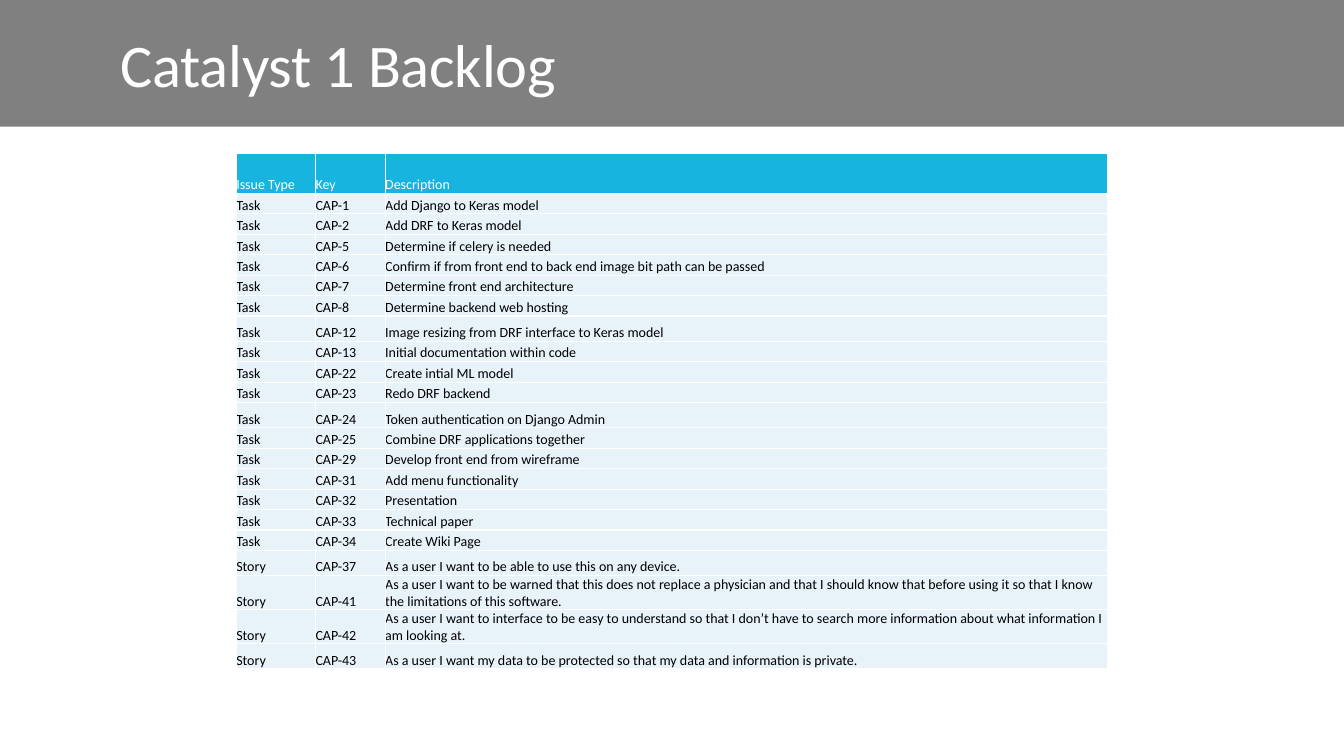
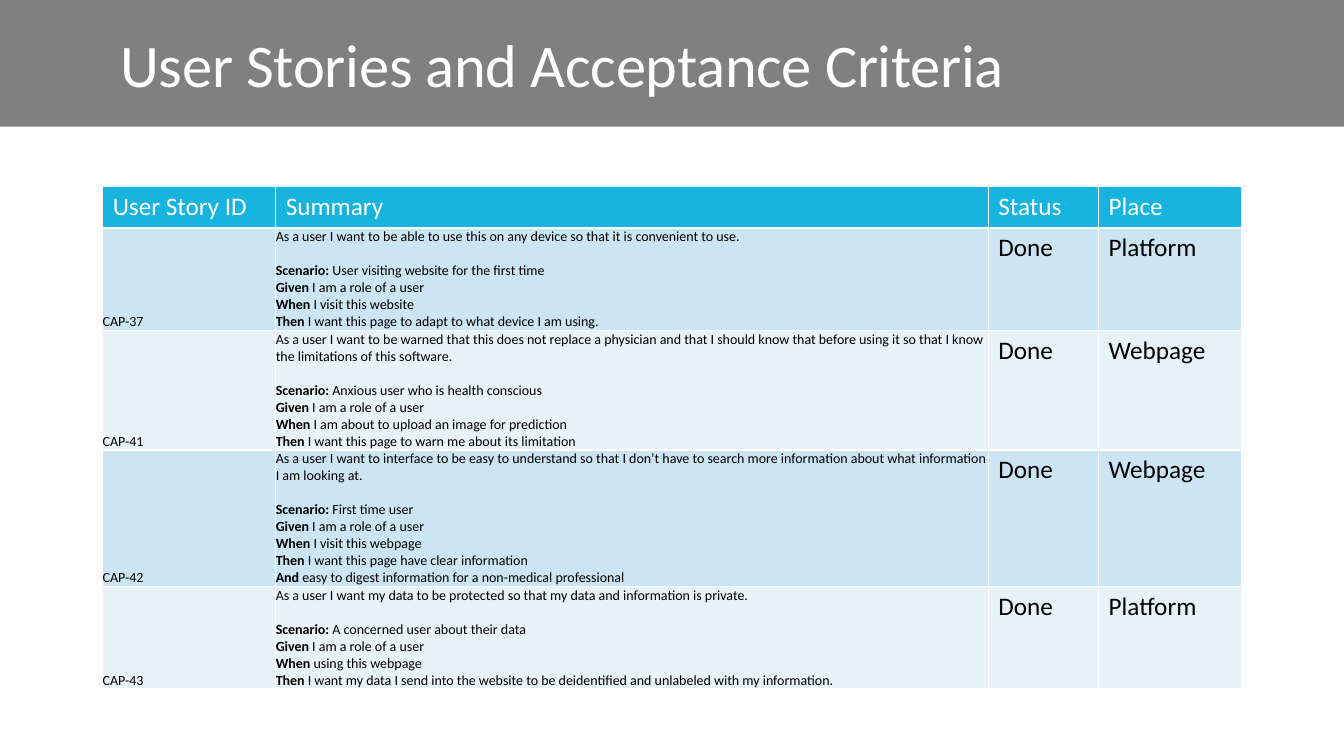
from pptx import Presentation
from pptx.dml.color import RGBColor
from pptx.enum.shapes import MSO_SHAPE
from pptx.enum.text import MSO_ANCHOR
from pptx.util import Pt

RECT = MSO_SHAPE.RECTANGLE
TOP, MIDDLE, BOTTOM = MSO_ANCHOR.TOP, MSO_ANCHOR.MIDDLE, MSO_ANCHOR.BOTTOM
FONT = "Calibri"
COLORS = {"band": "808080", "head": "17B4DF", "dark": "CCE5F3",
          "light": "E8F2F9", "white": "FFFFFF", "black": "000000"}
WIDTH, HEIGHT = 960, 540
SMALL, LARGE = 10, 18
LINE = 12.2  # height of one line of small text

# Content: backlog
BACKLOG_HEAD = ("Issue Type", "Key", "Description")
TASKS = [
    (1, "Add Django to Keras model"),
    (2, "Add DRF to Keras model"),
    (5, "Determine if celery is needed"),
    (6, "Confirm if from front end to back end image bit path can be passed"),
    (7, "Determine front end architecture"),
    (8, "Determine backend web hosting"),
    (12, "Image resizing from DRF interface to Keras model"),
    (13, "Initial documentation within code"),
    (22, "Create intial ML model"),
    (23, "Redo DRF backend"),
    (24, "Token authentication on Django Admin"),
    (25, "Combine DRF applications together"),
    (29, "Develop front end from wireframe"),
    (31, "Add menu functionality"),
    (32, "Presentation"),
    (33, "Technical paper"),
    (34, "Create Wiki Page"),
]
WARNED = ("As a user I want to be warned that this does not replace a physician "
          "and that I should know that before using it so that I know the "
          "limitations of this software.")
EASY = ("As a user I want to interface to be easy to understand so that I don’t "
        "have to search more information about what information I am looking at.")
SAFE = ("As a user I want my data to be protected so that my data and "
        "information is private.")
STORIES = [
    (37, "As a user I want to be able to use this on any device."),
    (41, WARNED),
    (42, EASY),
    (43, SAFE),
]
TALL_KEYS = {12, 24, 37, 43}
WRAP_KEYS = {41, 42}

# Content: acceptance criteria (key, summary, steps, place, lines of text)
CRITERIA_HEAD = ("User Story ID", "Summary", "Status", "Place")
ROLE = ("Given", " I am a role of a user")
CRITERIA = [
    (37, "As a user I want to be able to use this on any device so that it is "
         "convenient to use.",
     [("Scenario: ", "User visiting website for the first time"), ROLE,
      ("When", " I visit this website"),
      ("Then", " I want this page to adapt to what device I am using.")],
     "Platform", 6),
    (41, WARNED,
     [("Scenario: ", "Anxious user who is health conscious"), ROLE,
      ("When", " I am about to upload an image for prediction"),
      ("Then", " I want this page to warn me about its limitation")],
     "Webpage", 7),
    (42, EASY,
     [("Scenario: ", "First time user"), ROLE,
      ("When", " I visit this webpage"),
      ("Then", " I want this page have clear information"),
      ("And ", "easy to digest information for a non-medical professional")],
     "Webpage", 8),
    (43, SAFE,
     [("Scenario: ", "A concerned user about their data"), ROLE,
      ("When", " using this webpage"),
      ("Then", " I want my data I send into the website to be deidentified "
               "and unlabeled with my information.")],
     "Platform", 6),
]


def rgb(name):
    return RGBColor.from_string(COLORS[name])


def style(run, size, color, bold=False):
    run.font.name, run.font.size, run.font.bold = FONT, Pt(size), bold
    run.font.color.rgb = rgb(color)


def add_slide(deck, title):
    """Blank slide with the grey band and its title."""
    slide = deck.slides.add_slide(deck.slide_layouts[6])
    band = slide.shapes.add_shape(RECT, 0, 0, Pt(WIDTH), Pt(90.5))
    band.shadow.inherit = False
    band.fill.solid()
    band.fill.fore_color.rgb = rgb("band")
    band.line.fill.background()
    box = slide.shapes.add_textbox(Pt(79), Pt(15), Pt(742), Pt(60.5))
    frame = box.text_frame
    frame.word_wrap = True
    frame.vertical_anchor = MIDDLE
    frame.text = title
    run = frame.paragraphs[0].runs[0]
    style(run, 43.2, "white")
    run._r.get_or_add_rPr().set("spc", "-20")
    return slide


def add_grid(slide, left, top, cols, rows):
    """Table with the given column widths and row heights."""
    frame = slide.shapes.add_table(len(rows), len(cols), Pt(left), Pt(top),
                                   Pt(sum(cols)), Pt(sum(rows)))
    grid = frame.table
    grid.horz_banding = False
    for col, width in zip(grid.columns, cols):
        col.width = Pt(width)
    for row, height in zip(grid.rows, rows):
        row.height = Pt(height)
    return grid


def fill_cell(cell, text, fill, size=SMALL, color="black", steps=()):
    """Small text sits at the bottom with no margins; large text on top."""
    cell.fill.solid()
    cell.fill.fore_color.rgb = rgb(fill)
    cell.vertical_anchor = TOP
    if size == SMALL:
        cell.vertical_anchor = BOTTOM
        cell.margin_left = cell.margin_right = 0
        cell.margin_top = cell.margin_bottom = 0
    frame = cell.text_frame
    frame.text = text
    style(frame.paragraphs[0].runs[0], size, color)
    for num, (word, rest) in enumerate(steps):
        para = frame.add_paragraph()
        if num == 0:
            para.space_before = Pt(LINE)
        for part, bold in ((word, True), (rest, False)):
            run = para.add_run()
            run.text = part
            style(run, size, color, bold)


def fill_head(grid, names, size):
    for col, name in enumerate(names):
        fill_cell(grid.cell(0, col), name, "head", size, "white")


def row_height(key):
    if key in WRAP_KEYS:
        return 2 * LINE
    return 18 if key in TALL_KEYS else 14.6


def add_backlog(deck):
    slide = add_slide(deck, "Catalyst 1 Backlog")
    items = [("Task", *task) for task in TASKS]
    items += [("Story", *story) for story in STORIES]
    rows = [28.8] + [row_height(key) for _, key, _ in items]
    grid = add_grid(slide, 168.8, 109.4, (56.6, 49.8, 516), rows)
    fill_head(grid, BACKLOG_HEAD, SMALL)
    for row, (kind, key, text) in enumerate(items, 1):
        for col, value in enumerate((kind, f"CAP-{key}", text)):
            fill_cell(grid.cell(row, col), value, "light")


def add_criteria(deck):
    slide = add_slide(deck, "User Stories and Acceptance Criteria")
    rows = [29.4] + [LINE * item[-1] for item in CRITERIA]
    grid = add_grid(slide, 73.4, 133.4, (123.6, 509, 78.8, 102), rows)
    fill_head(grid, CRITERIA_HEAD, LARGE)
    for row, (key, text, steps, place, _) in enumerate(CRITERIA, 1):
        fill = "dark" if row % 2 else "light"
        fill_cell(grid.cell(row, 0), f"CAP-{key}", fill)
        fill_cell(grid.cell(row, 1), text, fill, steps=steps)
        fill_cell(grid.cell(row, 2), "Done", fill, LARGE)
        fill_cell(grid.cell(row, 3), place, fill, LARGE)


def main():
    deck = Presentation()
    deck.slide_width, deck.slide_height = Pt(WIDTH), Pt(HEIGHT)
    add_backlog(deck)
    add_criteria(deck)
    deck.save("out.pptx")


if __name__ == "__main__":
    main()
